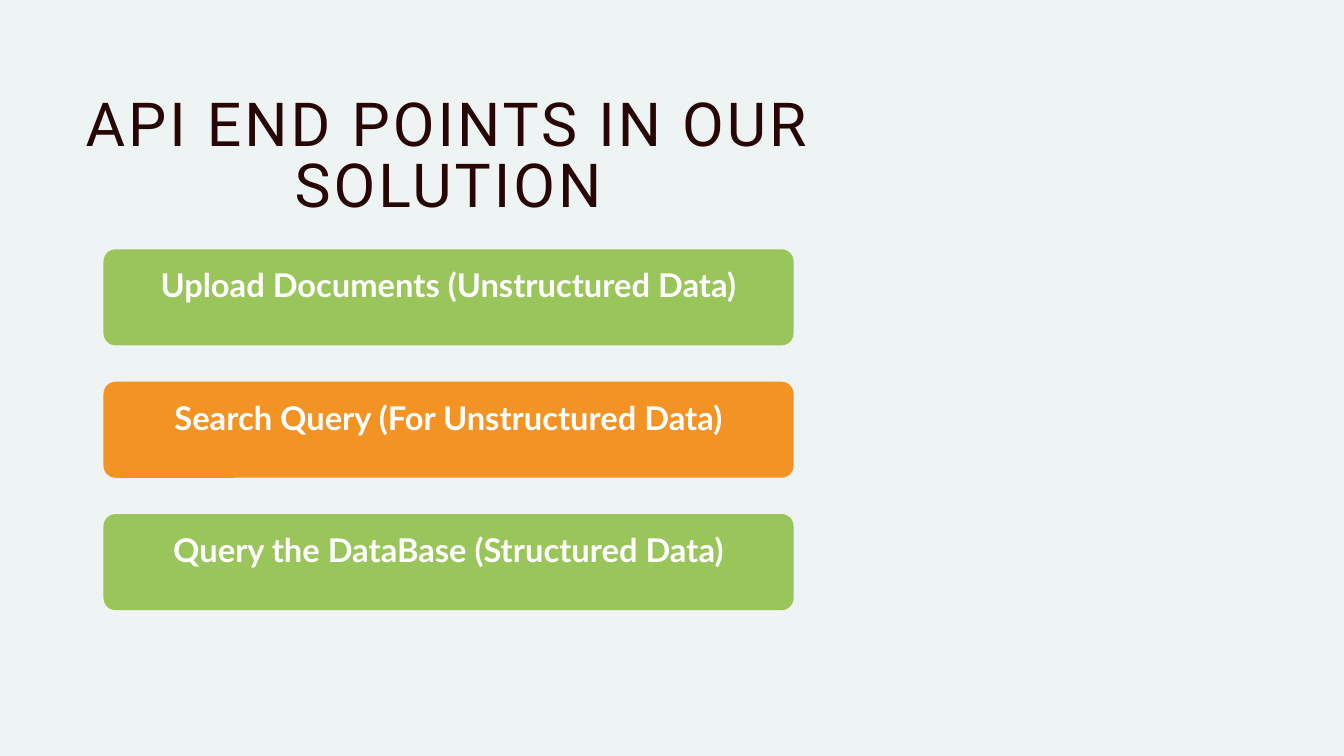
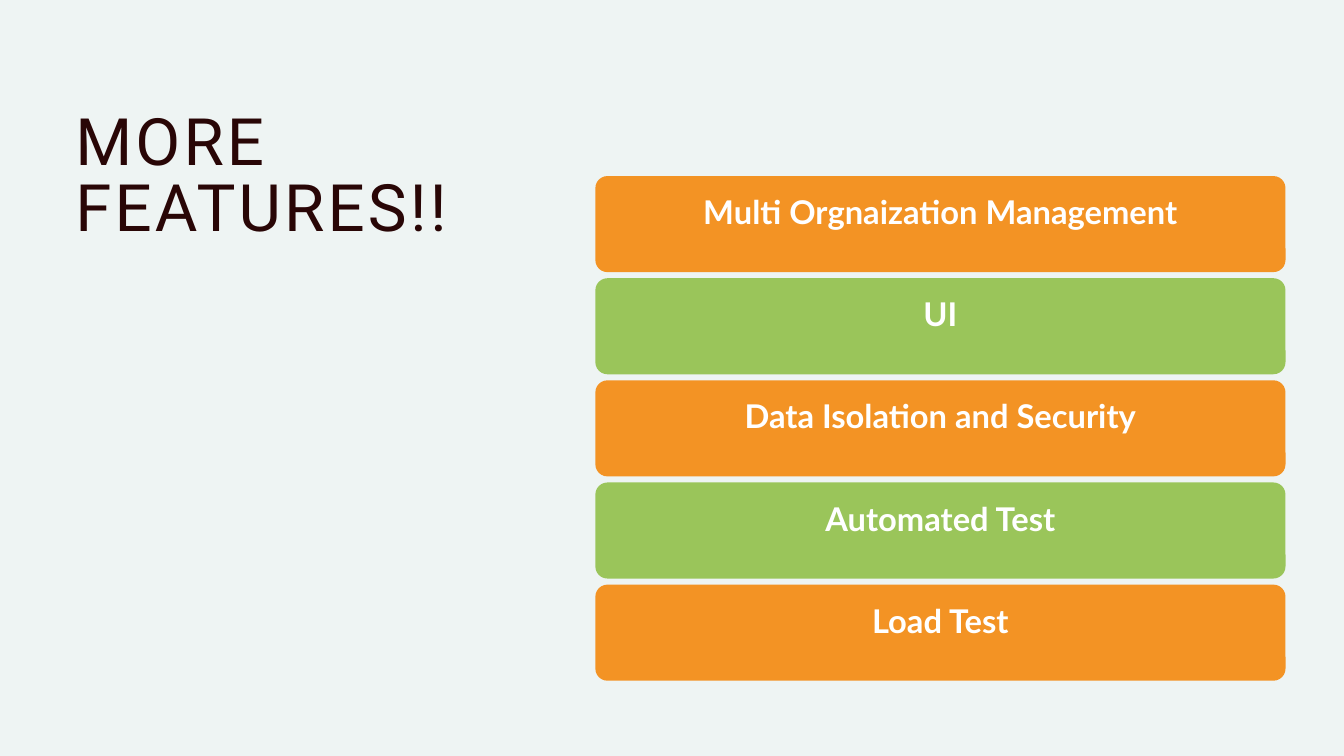
"""Build two slides listing API end points and further features."""
from dataclasses import dataclass
from itertools import cycle

from pptx import Presentation
from pptx.dml.color import RGBColor
from pptx.enum.shapes import MSO_SHAPE as Shape
from pptx.enum.text import MSO_ANCHOR as Anchor, MSO_AUTO_SIZE as AutoSize, PP_ALIGN as Align
from pptx.presentation import Presentation as Deck
from pptx.slide import Slide
from pptx.text.text import TextFrame
from pptx.util import Emu, Pt

EMU_PER_PX = 9144


@dataclass(frozen=True)
class Theme:
    """Colours, fonts and type sizes of the deck."""
    paper: RGBColor = RGBColor.from_string("EEF4F3")
    ink: RGBColor = RGBColor.from_string("290606")
    white: RGBColor = RGBColor.from_string("FFFFFF")
    green: RGBColor = RGBColor.from_string("9AC55A")
    orange: RGBColor = RGBColor.from_string("F39324")
    title_font: str = "Roboto"
    card_font: str = "Lato"
    card_size: int = 35
    card_leading: int = 49
    tracking: float = 0.05


@dataclass(frozen=True)
class Title:
    """A two-line heading and its box in px."""
    text: str
    left: int
    top: int
    width: int
    height: int
    size: int
    align: Align


@dataclass(frozen=True)
class CardStack:
    """A column of equally spaced cards in alternating colours."""
    labels: tuple[str, ...]
    colours: tuple[RGBColor, RGBColor]
    left: int
    top: int
    pitch: int
    width: int = 1027
    height: int = 143
    radius: int = 18
    inset: int = 6
    lift: int = 47


THEME = Theme()

PAGES = (
    (
        Title("API END POINTS IN OUR SOLUTION", 43, 146, 1248, 181, 65, Align.CENTER),
        CardStack(
            (
                "Upload Documents (Unstructured Data)",
                "Search Query (For Unstructured Data)",
                "Query the DataBase (Structured Data)",
            ),
            (THEME.green, THEME.orange), left=154, top=371, pitch=197,
        ),
    ),
    (
        Title("MORE FEATURES!!", 112, 169, 680, 194, 70, Align.LEFT),
        CardStack(
            (
                "Multi Orgnaization Management",
                "UI",
                "Data Isolation and Security",
                "Automated Test",
                "Load Test",
            ),
            (THEME.orange, THEME.green), left=886, top=262, pitch=152,
        ),
    ),
)


def px(n: int) -> Emu:
    """Turn px into EMU."""
    return Emu(n * EMU_PER_PX)


def set_insets(tf: TextFrame, side: int, bottom: int) -> None:
    """Set the text margins in px."""
    tf.margin_left = tf.margin_top = tf.margin_right = px(side)
    tf.margin_bottom = px(bottom)


def write(tf: TextFrame, text: str, font: str, size: int, leading: int,
          colour: RGBColor, align: Align, bold: bool) -> None:
    """Fill a frame with one formatted paragraph."""
    tf.word_wrap = True
    tf.auto_size = AutoSize.NONE
    tf.text = text
    p = tf.paragraphs[0]
    p.alignment = align
    p.line_spacing = Pt(leading)
    p.font.name = font
    p.font.size = Pt(size)
    p.font.bold = bold
    p.font.color.rgb = colour


def draw_title(s: Slide, title: Title) -> None:
    """Place and format the title placeholder."""
    sp = s.shapes.title
    sp.left, sp.top = px(title.left), px(title.top)
    sp.width, sp.height = px(title.width), px(title.height)
    tf = sp.text_frame
    set_insets(tf, 0, 0)
    tf.vertical_anchor = Anchor.TOP
    write(tf, title.text, THEME.title_font, title.size, title.size,
          THEME.ink, title.align, False)
    r = tf.paragraphs[0].runs[0]
    r._r.get_or_add_rPr().set("spc", str(round(title.size * THEME.tracking * 100)))


def draw_cards(s: Slide, stack: CardStack) -> None:
    """Draw every card of a stack with its label."""
    for i, (label, colour) in enumerate(zip(stack.labels, cycle(stack.colours))):
        sp = s.shapes.add_shape(
            Shape.ROUNDED_RECTANGLE, px(stack.left), px(stack.top + i * stack.pitch),
            px(stack.width), px(stack.height),
        )
        sp.adjustments[0] = stack.radius / stack.height
        sp.shadow.inherit = False
        sp.fill.solid()
        sp.fill.fore_color.rgb = colour
        sp.line.fill.background()
        tf = sp.text_frame
        set_insets(tf, stack.inset, stack.inset + stack.lift)
        tf.vertical_anchor = Anchor.MIDDLE
        write(tf, label, THEME.card_font, THEME.card_size, THEME.card_leading,
              THEME.white, Align.CENTER, True)


def build() -> Deck:
    """Assemble the deck."""
    prs = Presentation()
    prs.slide_width, prs.slide_height = px(2000), px(1125)
    fill = prs.slide_master.background.fill
    fill.solid()
    fill.fore_color.rgb = THEME.paper
    for title, stack in PAGES:
        s = prs.slides.add_slide(prs.slide_layouts.get_by_name("Title Only"))
        draw_title(s, title)
        draw_cards(s, stack)
    return prs


if __name__ == "__main__":
    build().save("out.pptx")
